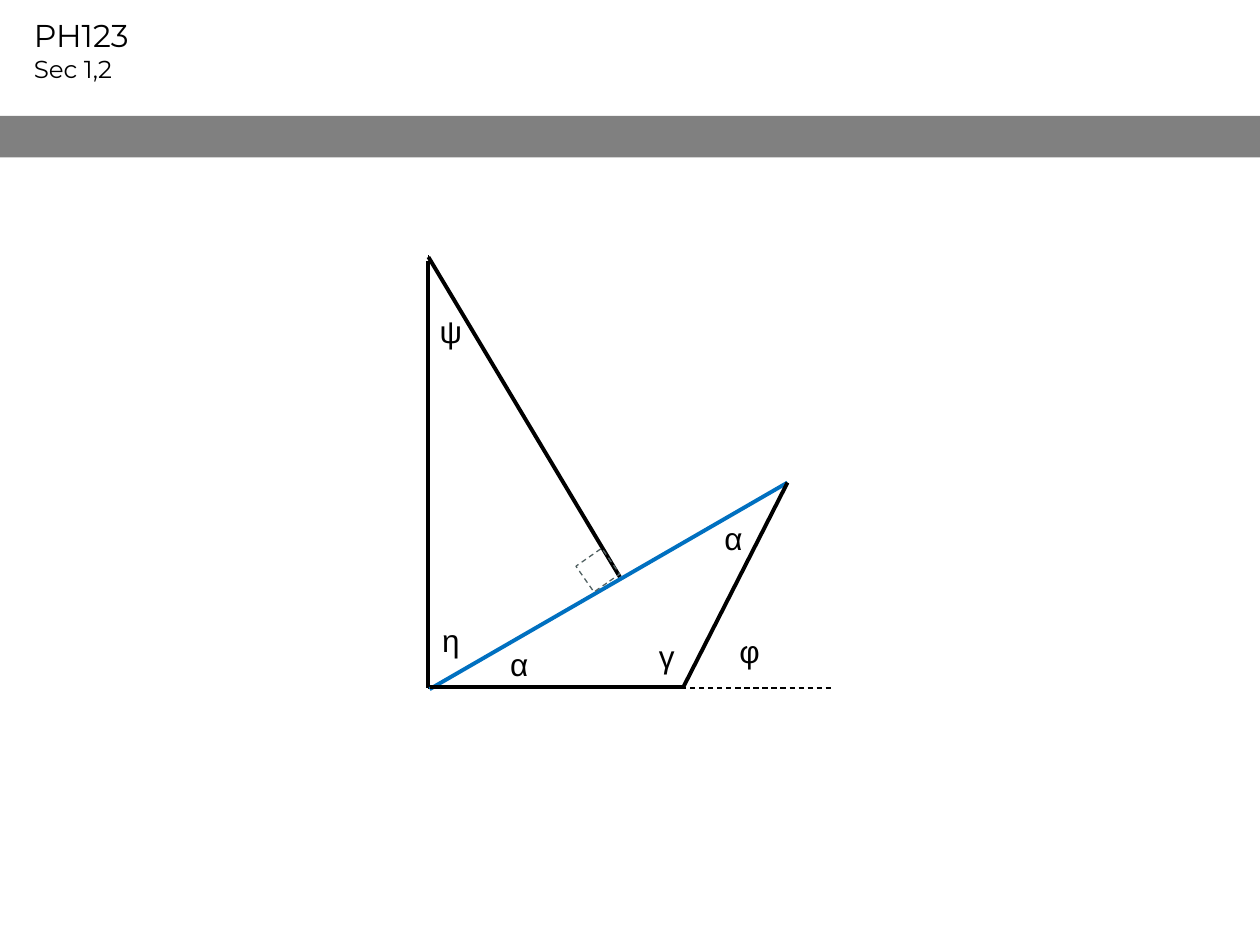
from pptx import Presentation
from pptx.dml.color import RGBColor
from pptx.enum.dml import MSO_LINE
from pptx.enum.shapes import MSO_CONNECTOR, MSO_SHAPE
from pptx.enum.text import MSO_AUTO_SIZE
from pptx.oxml.ns import qn
from pptx.util import Inches, Pt
from lxml import etree

BLACK, BLUE, GREY, SLATE = "000000", "0070C0", "808080", "526263"


def color(value):
    return RGBColor.from_string(value)


def add_text(page, left, top, width, height, lines):
    """Add an unwrapped text box; each line is (text, size, font name)."""
    box = page.shapes.add_textbox(Inches(left), Inches(top), Inches(width), Inches(height))
    frame = box.text_frame
    frame.text = "\n".join(text for text, _, _ in lines)
    frame.word_wrap = False
    frame.auto_size = MSO_AUTO_SIZE.SHAPE_TO_FIT_TEXT
    for para, (_, size, font_name) in zip(frame.paragraphs, lines):
        for span in para.runs:
            span.font.size = Pt(size)
            span.font.name = font_name
            span.font.color.rgb = color(BLACK)


def add_rectangle(page, left, top, width, height):
    shape = page.shapes.add_shape(
        MSO_SHAPE.RECTANGLE, Inches(left), Inches(top), Inches(width), Inches(height))
    shape.shadow.inherit = False
    return shape


def add_line(page, start, end, stroke=BLACK, weight=2.25, dashed=False):
    line = page.shapes.add_connector(
        MSO_CONNECTOR.STRAIGHT, *(Inches(value) for value in (*start, *end)))
    line.line.color.rgb = color(stroke)
    line.line.width = Pt(weight)
    if dashed:
        line.line.dash_style = MSO_LINE.DASH
    etree.SubElement(line._element.spPr, qn("a:effectLst"))


def add_header(page, left, top, width, height):
    add_text(page, left + 0.17, top + 0.08, 1.09, 0.63,
             [("PH123", 18, "Montserrat"), ("Sec 1,2", 14, "Montserrat")])
    bar_height = 0.33
    bar = add_rectangle(page, left, top + height - bar_height, width, bar_height)
    bar.fill.solid()
    bar.fill.fore_color.rgb = color(GREY)
    bar.line.fill.background()


def add_angle_figure(page, left, top, width, height):
    """Draw two triangles sharing the blue side, with their angles named."""
    def at(x, y):
        return left + x, top + y

    base = height - 0.01
    corner, apex, foot = at(0, height), at(0, 0.04), at(1.52, 2.58)
    tip, knee = at(2.85, 1.83), at(2.02, height)

    add_line(page, corner, at(width, height), weight=0.75, dashed=True)
    add_line(page, at(0, height - 0.03), at(0, 0), weight=0.75, dashed=True)
    add_line(page, at(0, 0.07), corner)
    add_line(page, apex, foot)
    add_line(page, tip, at(0.01, height + 0.01), stroke=BLUE)
    add_line(page, at(2.02, base), at(0.01, base))
    add_line(page, tip, knee)

    right_angle = add_rectangle(page, *at(1.22, 2.4), 0.25, 0.25)
    right_angle.rotation = 325.1
    right_angle.fill.background()
    right_angle.line.color.rgb = color(SLATE)
    right_angle.line.width = Pt(0.75)
    right_angle.line.dash_style = MSO_LINE.DASH

    angles = [
        ("η", 0.01, 2.88, 0.35),
        ("α", 0.55, 3.07, 0.36),
        ("γ", 1.73, 3.01, 0.31),
        ("α", 2.25, 2.07, 0.36),
        ("ψ", -0.01, 0.43, 0.38),
        ("φ", 2.37, 2.97, 0.33),
    ]
    for name, x, y, label_width in angles:
        add_text(page, *at(x, y), label_width, 0.4, [(name, 18, "Arial")])


def main():
    deck = Presentation()
    deck.slide_width, deck.slide_height = Inches(10), Inches(7.5)
    page = deck.slides.add_slide(deck.slide_layouts[6])
    add_header(page, 0, 0, 10, 1.25)
    add_angle_figure(page, 3.4, 2, 3.2, 3.46)
    deck.save("out.pptx")


if __name__ == "__main__":
    main()
